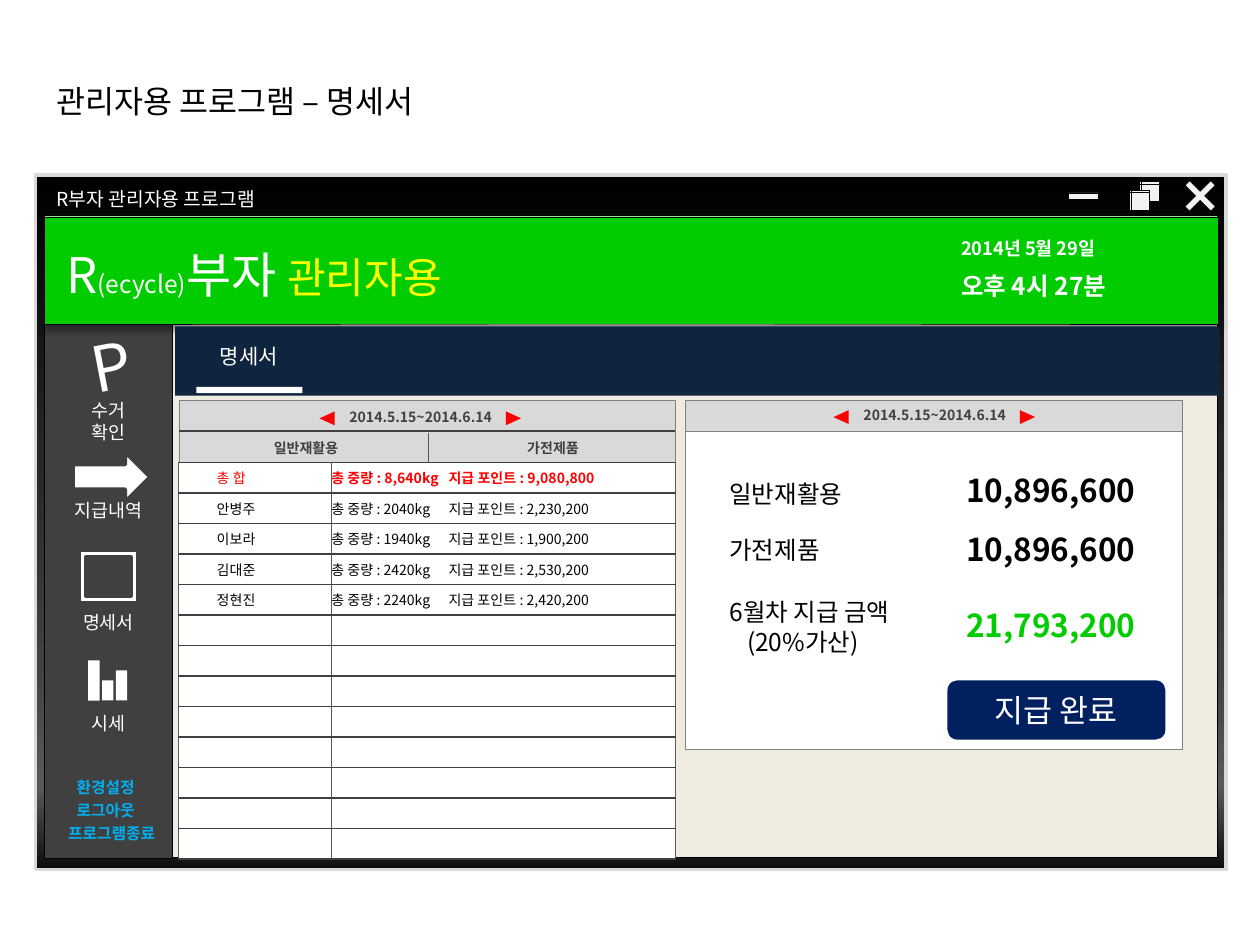
from collections import namedtuple

from lxml import etree
from pptx import Presentation
from pptx.dml.color import RGBColor
from pptx.enum.shapes import MSO_CONNECTOR, MSO_SHAPE
from pptx.enum.text import MSO_ANCHOR, PP_ALIGN
from pptx.oxml.ns import qn
from pptx.util import Inches, Pt

RECT, FRAME, TRIANGLE = MSO_SHAPE.RECTANGLE, MSO_SHAPE.FRAME, MSO_SHAPE.ISOSCELES_TRIANGLE
ROUNDED, CROSS = MSO_SHAPE.ROUNDED_RECTANGLE, MSO_SHAPE.MATH_MULTIPLY
ARROW, STORAGE = MSO_SHAPE.STRIPED_RIGHT_ARROW, MSO_SHAPE.FLOWCHART_INTERNAL_STORAGE
LEFT, CENTER, MIDDLE = PP_ALIGN.LEFT, PP_ALIGN.CENTER, MSO_ANCHOR.MIDDLE

Box = namedtuple("Box", "left top width height")
Style = namedtuple("Style", "size color bold", defaults=(False,))


class Theme:
    font = "Noto Sans CJK KR"
    black, white, silver = "000000", "FFFFFF", "F2F2F2"
    beige, panel, edge, rule, column = "EEECE1", "D9D9D9", "808080", "404040", "595959"
    green, yellow, red, blue, navy, button = "00CC00", "FFFF00", "FF0000", "00B0F0", "0F243E", "002060"
    chrome = ((0, "000000"), (40, "262626"), (70, "404040"), (88, "595959"), (100, "0D0D0D"))
    title, caption = Style(18, black), Style(11, white)
    brand, brand_small, brand_role = Style(28, white), Style(14, white), Style(24, yellow)
    date, clock = Style(10.5, white, True), Style(14, white, True)
    icon, menu, link = Style(36, white), Style(10.5, white), Style(9, blue, True)
    tab, head = Style(12, white), Style(8, rule, True)
    cell, total, total_bold = Style(8, black), Style(8, red), Style(8, red, True)
    label, amount, payout = Style(14, black), Style(18, black, True), Style(18, green, True)
    action = Style(18, white)


def inside(box, left, top, width, height):
    return Box(box.left + left, box.top + top, width, height)


def emu(box):
    return [Inches(value) for value in box]


def add_span(para, text, style):
    span = para.add_run()
    span.text = text
    span.font.color.rgb = RGBColor.from_string(style.color)
    for name, value in {"size": Pt(style.size), "bold": style.bold, "name": Theme.font}.items():
        setattr(span.font, name, value)
    etree.SubElement(span.font._element, qn("a:ea"), typeface=Theme.font)


def write(frame, lines, align=LEFT):
    """Each line is a list of (text, style) pairs."""
    frame.word_wrap = True
    for index, spans in enumerate(lines):
        para = frame.add_paragraph() if index else frame.paragraphs[0]
        para.alignment = align
        for text, style in spans:
            add_span(para, text, style)


def add_text(page, box, text, style, align=LEFT):
    return add_lines(page, box, [[(text, style)]], align)


def add_lines(page, box, lines, align=LEFT):
    shape = page.shapes.add_textbox(*emu(box))
    write(shape.text_frame, lines, align)
    return shape


def add_shape(page, kind, box, fill, line=None, width=0.25):
    shape = page.shapes.add_shape(kind, *emu(box))
    shape.shadow.inherit = False
    shape.fill.solid()
    shape.fill.fore_color.rgb = RGBColor.from_string(fill)
    if line:
        shape.line.color.rgb = RGBColor.from_string(line)
        shape.line.width = Pt(width)
    else:
        shape.line.fill.background()
    return shape


def add_line(page, start, end, color):
    line = page.shapes.add_connector(MSO_CONNECTOR.STRAIGHT, *emu(start + end))
    line.line.color.rgb = RGBColor.from_string(color)
    line.line.width = Pt(0.75)
    etree.SubElement(line._element.spPr, qn("a:effectLst"))


def add_color(parent, color):
    return etree.SubElement(parent, qn("a:srgbClr"), val=color)


def add_title(page, box):
    title = page.shapes.title
    for name, value in zip(Box._fields, emu(box)):
        setattr(title, name, value)
    write(title.text_frame, [[("관리자용 프로그램 – 명세서", Theme.title)]])


def add_window(page, box):
    # Gradient chrome and work area
    chrome = add_shape(page, RECT, box, Theme.black, Theme.panel, 2)
    chrome.fill.gradient()
    chrome.fill.gradient_angle = 270
    stops = chrome._element.spPr.find(qn("a:gradFill")).find(qn("a:gsLst"))
    for stop in list(stops):
        stops.remove(stop)
    for position, color in Theme.chrome:
        add_color(etree.SubElement(stops, qn("a:gs"), pos=str(position * 1000)), color)
    add_shape(page, RECT, inside(box, 0.07, 0.32, 9.31, 5.1), Theme.beige, Theme.black, 0.5)
    # Caption and window buttons
    add_text(page, inside(box, 0.07, 0.05, 3.15, 0.29), "R부자 관리자용 프로그램", Theme.caption)
    buttons = ((RECT, 8.2, 0.14, 0.24, 0.05), (STORAGE, 8.76, 0.05, 0.16, 0.16),
               (STORAGE, 8.68, 0.12, 0.16, 0.16), (CROSS, 9.05, -0.03, 0.39, 0.39))
    for kind, *place in buttons:
        shape = add_shape(page, kind, inside(box, *place), Theme.silver, Theme.black)
        if kind == CROSS:
            shape.adjustments[0] = 0.128


def add_banner(page, box):
    banner = add_shape(page, RECT, box, Theme.green, Theme.black)
    shadow = etree.SubElement(banner._element.spPr.find(qn("a:effectLst")), qn("a:outerShdw"),
                              blurRad=str(Pt(4)), dist=str(Pt(3)), dir="5400000", rotWithShape="0")
    etree.SubElement(add_color(shadow, Theme.black), qn("a:alpha"), val="40000")
    add_lines(page, inside(box, 0.08, 0.17, 5.04, 0.57), [[
        ("R", Theme.brand), ("(ecycle)", Theme.brand_small),
        ("부자 ", Theme.brand), ("관리자용", Theme.brand_role)]])
    clock = add_lines(page, inside(box, 7.18, 0.11, 1.61, 0.61), [
        [("2014년 5월 29일", Theme.date)], [("오후 4시 27분", Theme.clock)]])
    clock.text_frame.paragraphs[1].space_before = Pt(7)


def add_sidebar(page, box):
    add_shape(page, RECT, box, Theme.rule, Theme.black)
    # Menu icons
    letter = add_text(page, inside(box, 0.28, -0.03, 0.58, 0.71), "P", Theme.icon)
    letter.rotation = 349
    add_shape(page, ARROW, inside(box, 0.17, 1.02, 0.67, 0.39), Theme.white, Theme.rule, 2)
    add_shape(page, FRAME, inside(box, 0.28, 1.8, 0.46, 0.41), Theme.white, Theme.rule, 2)
    for index, height in enumerate((0.32, 0.16, 0.24)):
        add_shape(page, RECT, inside(box, 0.35 + 0.11 * index, 2.99 - height, 0.09, height), Theme.white)
    # Menu labels
    for top, lines in ((0.55, ("수거", "확인")), (1.34, ("지급내역",)), (2.23, ("명세서",)), (3.03, ("시세",))):
        add_lines(page, inside(box, 0.04, top, 0.94, 0.28), [[(line, Theme.menu)] for line in lines], CENTER)
    # Links
    for index, text in enumerate(("환경설정", "로그아웃", "프로그램종료")):
        wide = index == 2
        place = (0, 1.07) if wide else (0.16, 0.73)
        add_text(page, inside(box, place[0], 3.55 + 0.185 * index, place[1], 0.25), text, Theme.link,
                 CENTER if wide else LEFT)


def add_tab_bar(page, box):
    add_shape(page, RECT, box, Theme.navy)
    add_text(page, inside(box, 0.03, 0.09, 1.11, 0.3), "명세서", Theme.tab, CENTER)
    add_shape(page, RECT, inside(box, 0.17, 0.48, 0.84, 0.05), Theme.white)


def add_period(page, box):
    add_text(page, box, "2014.5.15~2014.6.14", Theme.head, CENTER)
    for left, turn in ((0.12, 270), (1.6, 90)):
        add_shape(page, TRIANGLE, inside(box, left, 0.07, 0.11, 0.12), Theme.red).rotation = turn


def format_cell(cell, text, style, indent):
    margins = {"margin_left": indent, "margin_right": 0, "margin_top": 0, "margin_bottom": 0}
    for name, value in margins.items():
        setattr(cell, name, Inches(value))
    cell.vertical_anchor = MIDDLE
    para = cell.text_frame.paragraphs[0]
    if text:
        tabs = etree.SubElement(para._p.get_or_add_pPr(), qn("a:tabLst"))
        etree.SubElement(tabs, qn("a:tab"), pos=str(Inches(0.93)), algn="l")
        add_span(para, text, style)
    else:
        etree.SubElement(para._p, qn("a:endParaRPr"), sz=str(style.size * 100))
    for side in "LRTB":
        border = etree.SubElement(cell._tc.get_or_add_tcPr(), qn(f"a:ln{side}"), w=str(Pt(0.75)))
        add_color(etree.SubElement(border, qn("a:solidFill")), Theme.column if side in "LR" else Theme.rule)
    cell.fill.solid()
    cell.fill.fore_color.rgb = RGBColor.from_string(Theme.white)


def add_ledger(page, box):
    add_shape(page, RECT, box, Theme.panel, Theme.edge)
    add_period(page, inside(box, 1, 0.01, 1.84, 0.24))
    # Category heads
    add_line(page, (box.left, box.top + 0.24), (box.left + box.width, box.top + 0.24), Theme.rule)
    add_line(page, (box.left + 1.98, box.top + 0.26), (box.left + 1.98, box.top + 0.5), Theme.column)
    for left, text in ((0.09, "일반재활용"), (2.05, "가전제품")):
        add_text(page, inside(box, left, 0.26, 1.84, 0.24), text, Theme.head, CENTER)
    # Members, weights and points
    members = (("총 합", "8,640kg", "9,080,800"), ("안병주", "2040kg", "2,230,200"),
               ("이보라", "1940kg", "1,900,200"), ("김대준", "2420kg", "2,530,200"),
               ("정현진", "2240kg", "2,420,200"))
    rows = 13
    frame = page.shapes.add_table(rows, 2, *emu(inside(box, 0, 0.49, box.width, 3.15)))
    table = frame.table
    table.first_row = table.horz_banding = False
    for column, width in zip(table.columns, (1.21, box.width - 1.21)):
        column.width = Inches(width)
    for index in range(rows):
        table.rows[index].height = Inches(3.15 / rows)
        name = detail = ""
        if index < len(members):
            name, weight, points = members[index]
            detail = f"총 중량 : {weight}\t지급 포인트 : {points}"
        styles = (Theme.cell, Theme.cell) if index else (Theme.total, Theme.total_bold)
        format_cell(table.cell(index, 0), name, styles[0], 0.3)
        format_cell(table.cell(index, 1), detail, styles[1], 0)


def add_payout(page, box):
    add_shape(page, RECT, inside(box, 0, 0, box.width, 1.7), Theme.panel, Theme.edge)
    add_shape(page, RECT, inside(box, 0, 0.24, box.width, box.height - 0.24), Theme.white, Theme.edge)
    add_period(page, inside(box, 1.06, 0, 1.84, 0.24))
    # Labels with amounts
    entries = ((0.57, 0.51, ("일반재활용",), "10,896,600", Theme.amount),
               (1.02, 0.98, ("가전제품",), "10,896,600", Theme.amount),
               (1.51, 1.58, ("6월차 지급 금액", "(20%가산)"), "21,793,200", Theme.payout))
    for label_top, amount_top, lines, amount, style in entries:
        label = add_lines(page, inside(box, 0.25, label_top, 1.68, 0.34),
                          [[(line, Theme.label)] for line in lines])
        for para in label.text_frame.paragraphs[1:]:
            para._p.get_or_add_pPr().set("marL", str(Inches(0.14)))
        add_text(page, inside(box, 2.13, amount_top, 1.59, 0.4), amount, style)
    # Confirm button
    button = add_shape(page, ROUNDED, inside(box, 2.08, 2.22, 1.73, 0.47), Theme.button)
    button.text_frame.vertical_anchor = MIDDLE
    write(button.text_frame, [[("지급 완료", Theme.action)]], CENTER)


def main():
    deck = Presentation()
    deck.slide_width, deck.slide_height = Inches(10), Inches(7.5)
    page = deck.slides.add_slide(deck.slide_layouts[5])
    add_title(page, Box(0.35, 0.6, 5.12, 0.4))
    add_window(page, Box(0.28, 1.39, 9.45, 5.51))
    add_sidebar(page, Box(0.35, 2.57, 1.02, 4.24))
    add_banner(page, Box(0.35, 1.72, 9.32, 0.85))
    add_tab_bar(page, Box(1.39, 2.59, 8.29, 0.55))
    add_ledger(page, Box(1.42, 3.18, 3.94, 3.63))
    add_payout(page, Box(5.44, 3.18, 3.94, 2.77))
    deck.save("out.pptx")


if __name__ == "__main__":
    main()
